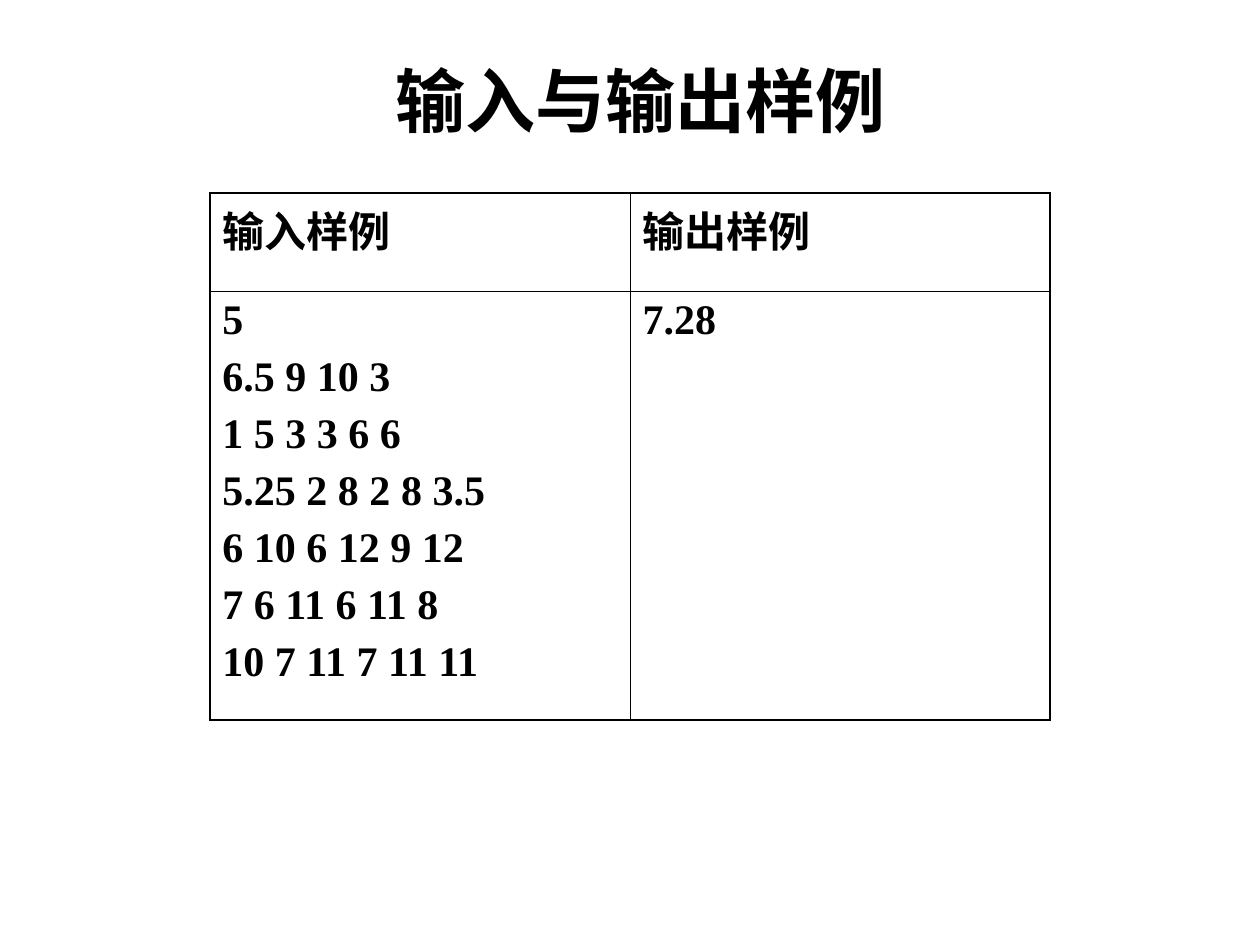
from lxml import etree
from pptx import Presentation
from pptx.dml.color import RGBColor
from pptx.enum.text import MSO_ANCHOR as ANCHOR, MSO_AUTO_SIZE as AUTO, PP_ALIGN as ALIGN
from pptx.oxml.ns import qn
from pptx.util import Cm, Pt

INK = "000000"
PAPER = "FFFFFF"
FONT = "Times New Roman"
OUTER, INNER = Pt(1.08), Pt(0.45)
COL_WIDTH = Cm(8.47)
ROW_HEIGHTS = [Cm(1.98), Cm(8.64)]
SAMPLES = [
    ["输入样例", "输出样例"],
    [
        "5\n6.5 9 10 3\n1 5 3 3 6 6\n5.25 2 8 2 8 3.5\n"
        "6 10 6 12 9 12\n7 6 11 6 11 8\n10 7 11 7 11 11",
        "7.28",
    ],
]


def rgb(value):
    return RGBColor.from_string(value)


def write(tf, text, size, align):
    tf.text = text
    for i, p in enumerate(tf.paragraphs):
        p.alignment = align
        p.space_before = Pt(6 if i else 0)
        for r in p.runs:
            for name, value in {"name": FONT, "size": Pt(size), "bold": True}.items():
                setattr(r.font, name, value)
            r.font.color.rgb = rgb(INK)


def set_borders(cell, widths):
    tc_pr = cell._tc.get_or_add_tcPr()
    for i, (side, width) in enumerate(widths.items()):
        ln = etree.Element(qn(f"a:ln{side}"), w=str(width))
        fill = etree.SubElement(ln, qn("a:solidFill"))
        etree.SubElement(fill, qn("a:srgbClr"), val=INK)
        tc_pr.insert(i, ln)


def add_title(s, text):
    sp = s.shapes.title
    box = {"left": Cm(2.12), "top": Cm(0.85), "width": Cm(21.59), "height": Cm(2.33)}
    for name, value in box.items():
        setattr(sp, name, value)
    tf = sp.text_frame
    layout = {"word_wrap": True, "auto_size": AUTO.NONE, "vertical_anchor": ANCHOR.MIDDLE}
    for name, value in layout.items():
        setattr(tf, name, value)
    write(tf, text, 40, ALIGN.CENTER)


def add_samples(s, rows):
    n_rows, n_cols = len(rows), len(rows[0])
    table = s.shapes.add_table(
        n_rows, n_cols, Cm(4.23), Cm(3.89), COL_WIDTH * n_cols, sum(ROW_HEIGHTS)
    ).table
    table.first_row = table.horz_banding = False
    for col in table.columns:
        col.width = COL_WIDTH
    for i, row in enumerate(rows):
        table.rows[i].height = ROW_HEIGHTS[i]
        for j, text in enumerate(row):
            cell = table.cell(i, j)
            write(cell.text_frame, text, 24, ALIGN.LEFT)
            cell.fill.solid()
            cell.fill.fore_color.rgb = rgb(PAPER)
            set_borders(cell, {
                "L": INNER if j else OUTER,
                "R": INNER if j < n_cols - 1 else OUTER,
                "T": INNER if i else OUTER,
                "B": INNER if i < n_rows - 1 else OUTER,
            })


def main():
    prs = Presentation()
    prs.slide_width, prs.slide_height = Cm(25.4), Cm(19.05)
    s = prs.slides.add_slide(prs.slide_layouts[5])
    add_title(s, "输入与输出样例")
    add_samples(s, SAMPLES)
    prs.save("out.pptx")


if __name__ == "__main__":
    main()
